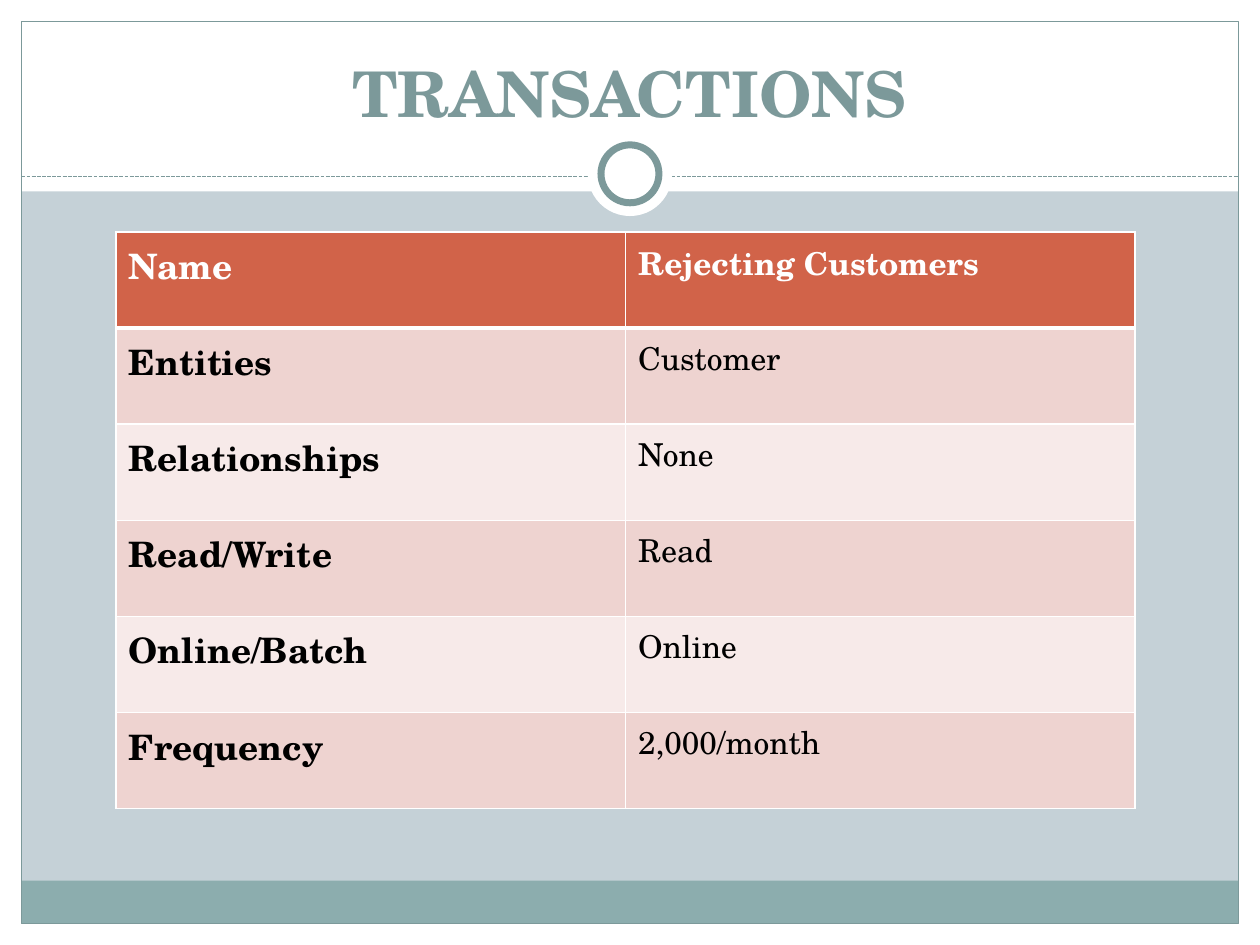
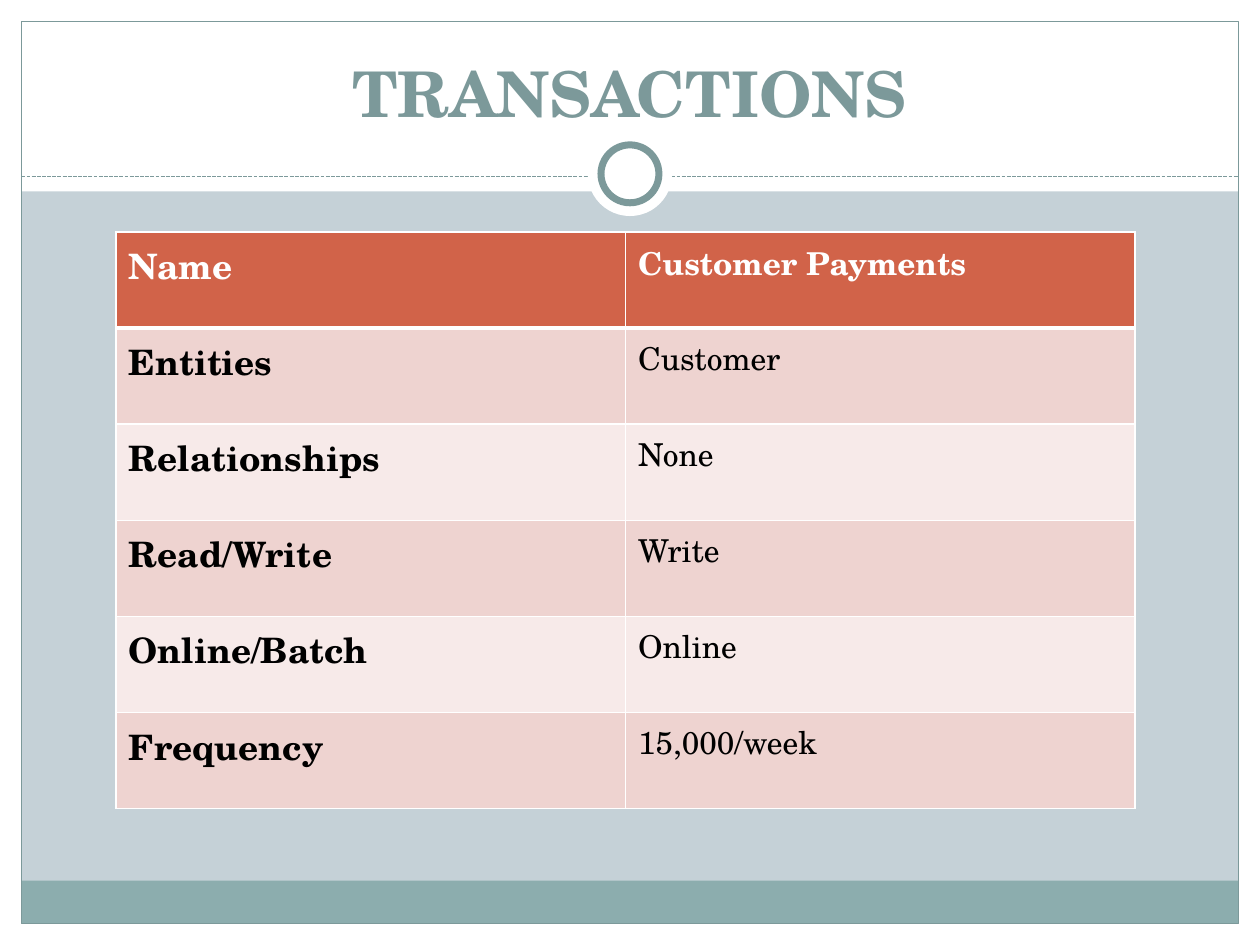
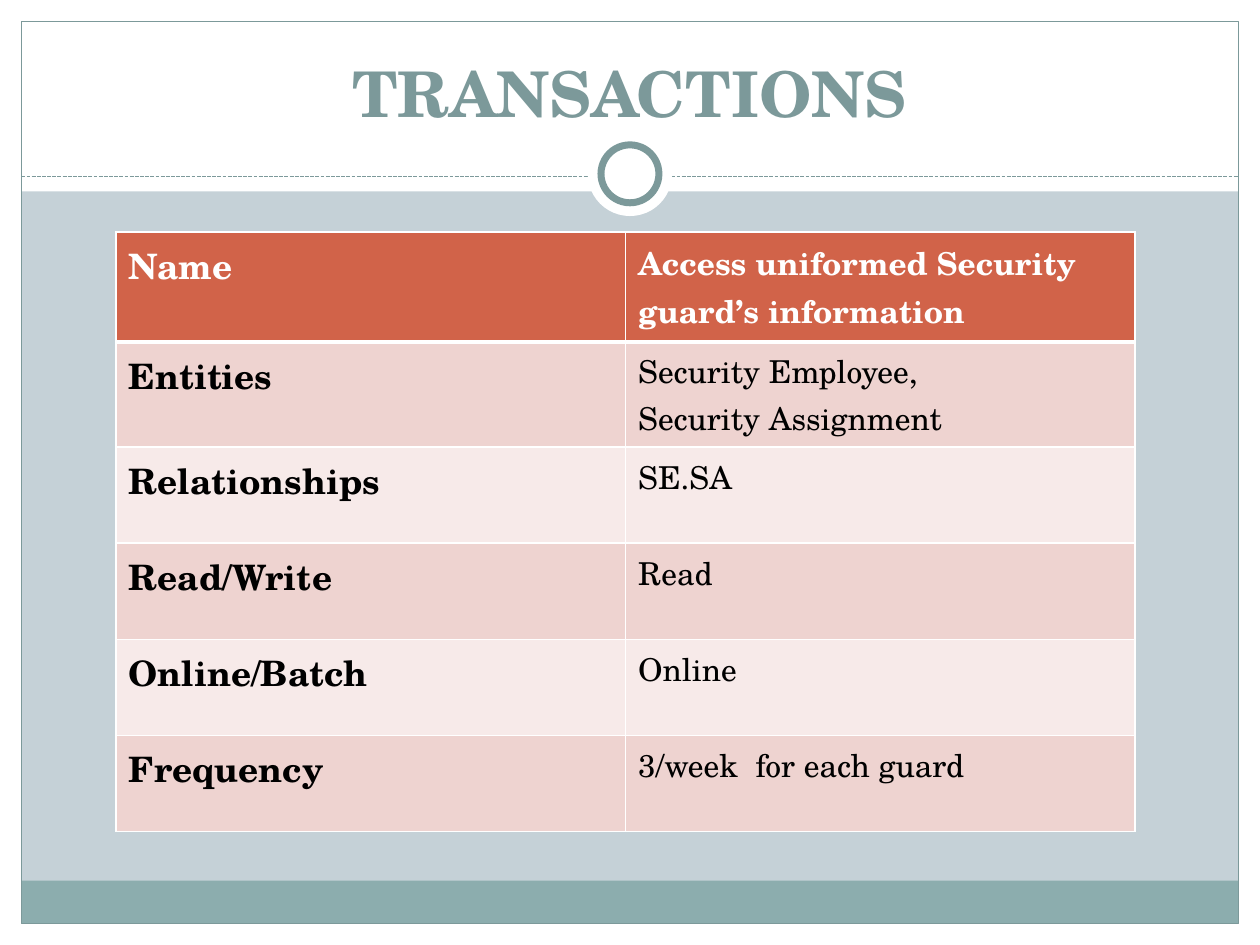
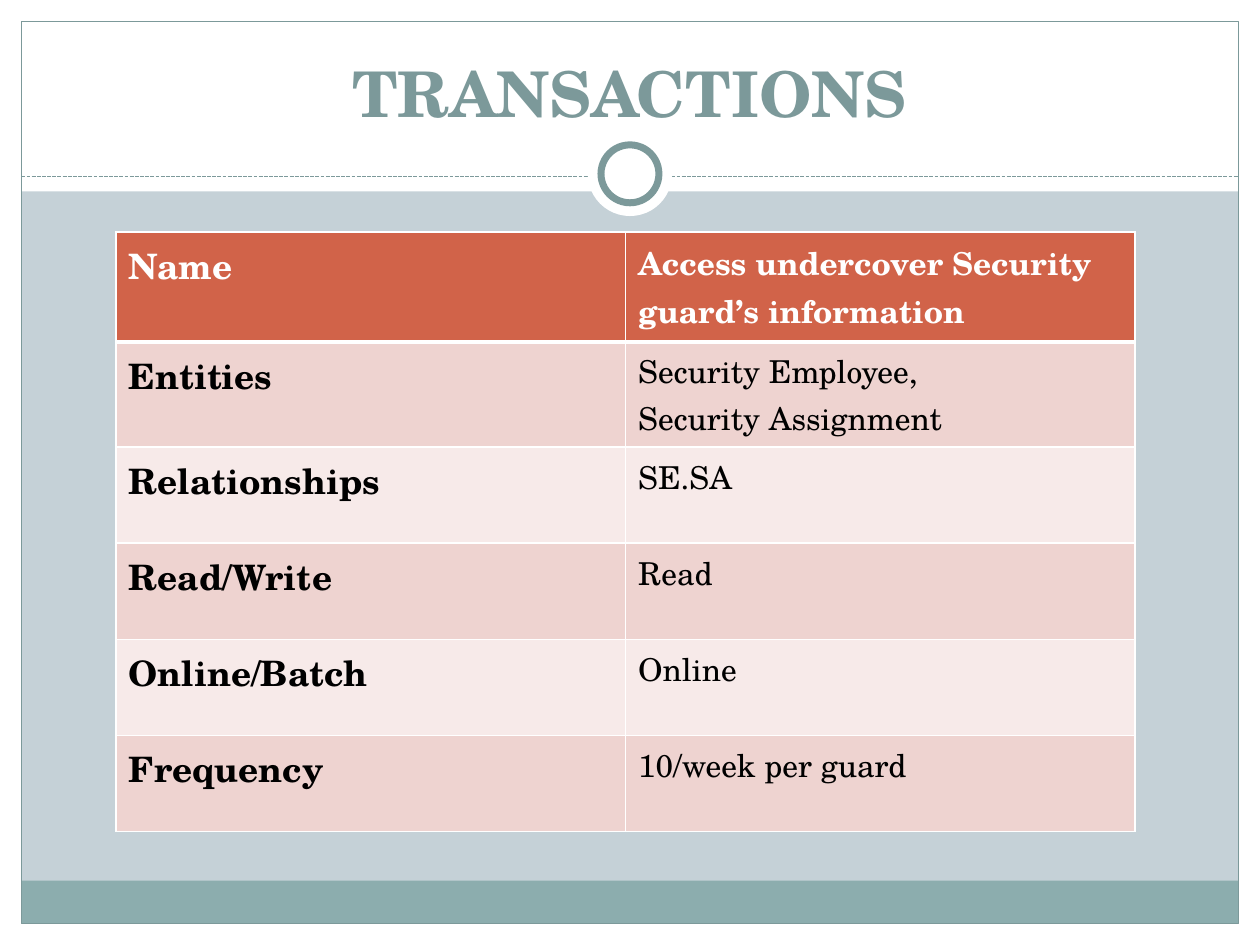
from dataclasses import dataclass

from pptx import Presentation
from pptx.dml.color import RGBColor
from pptx.enum.dml import MSO_LINE
from pptx.enum.shapes import MSO_CONNECTOR, MSO_SHAPE
from pptx.enum.text import MSO_ANCHOR, PP_ALIGN
from pptx.oxml.ns import qn
from pptx.util import Inches, Pt
from lxml.etree import SubElement


@dataclass(frozen=True)
class Theme:
    font: str = "TeX Gyre Schola"
    background: str = "C5D1D7"
    white: str = "FFFFFF"
    black: str = "000000"
    accent: str = "7C999A"
    footer: str = "8CADAE"
    header: str = "D16349"
    band_dark: str = "EED3D0"
    band_light: str = "F7EAE9"
    title_size: int = 36
    label_size: int = 20
    value_size: int = 18


THEME = Theme()
WIDTH, HEIGHT, MARGIN = 10, 7.5, 0.17
RULE_Y = 1.4
TITLE = "TRANSACTIONS"
LABELS = ["Name", "Entities", "Relationships", "Read/Write", "Online/Batch", "Frequency"]
GUARD_ENTITIES = "Security Employee,\nSecurity Assignment"

# One entry per slide, in the order of LABELS
TRANSACTIONS = [
    ["Rejecting Customers", "Customer", "None", "Read", "Online", "2,000/month"],
    ["Customer Payments", "Customer", "None", "Write", "Online", "15,000/week"],
    ["Access uniformed Security guard’s information", GUARD_ENTITIES,
     "SE.SA", "Read", "Online", "3/week  for each guard"],
    ["Access undercover Security guard’s information", GUARD_ENTITIES,
     "SE.SA", "Read", "Online", "10/week per guard"],
]


def rgb(color):
    return RGBColor.from_string(color)


def write_text(frame, text, *, size, color, bold=False, align=PP_ALIGN.LEFT,
               anchor=MSO_ANCHOR.TOP):
    """Fill a text frame, one paragraph per line of text."""
    frame.word_wrap = True
    frame.vertical_anchor = anchor
    for index, line in enumerate(text.split("\n")):
        paragraph = frame.paragraphs[0] if index == 0 else frame.add_paragraph()
        paragraph.alignment = align
        run = paragraph.add_run()
        run.text = line
        run.font.name = THEME.font
        run.font.size = Pt(size)
        run.font.bold = bold
        run.font.color.rgb = rgb(color)


def add_box(slide, left, top, width, height, *, fill=None, line=None,
            line_width=0.75, kind=MSO_SHAPE.RECTANGLE):
    box = slide.shapes.add_shape(
        kind, Inches(left), Inches(top), Inches(width), Inches(height))
    box.shadow.inherit = False
    if fill:
        box.fill.solid()
        box.fill.fore_color.rgb = rgb(fill)
    else:
        box.fill.background()
    if line:
        box.line.color.rgb = rgb(line)
        box.line.width = Pt(line_width)
    else:
        box.line.fill.background()
    return box


def add_circle(slide, center_y, diameter, **style):
    return add_box(slide, (WIDTH - diameter) / 2, center_y - diameter / 2,
                   diameter, diameter, kind=MSO_SHAPE.OVAL, **style)


def add_rule(slide, y):
    rule = slide.shapes.add_connector(
        MSO_CONNECTOR.STRAIGHT, Inches(MARGIN), Inches(y), Inches(WIDTH - MARGIN), Inches(y))
    rule.line.color.rgb = rgb(THEME.accent)
    rule.line.width = Pt(0.75)
    rule.line.dash_style = MSO_LINE.SQUARE_DOT
    SubElement(rule.element.spPr, qn("a:effectLst"))
    return rule


def build_layout(layout, slide):
    """Draw the shared frame on a slide and hand it over to the layout."""
    layout.background.fill.solid()
    layout.background.fill.fore_color.rgb = rgb(THEME.background)
    for placeholder in list(layout.placeholders)[1:]:
        layout.shapes.element.remove(placeholder.element)

    inner_width, inner_height = WIDTH - 2 * MARGIN, HEIGHT - 2 * MARGIN
    white = THEME.white
    frame = [
        # White edges and title area
        add_box(slide, 0, HEIGHT - MARGIN, WIDTH, MARGIN, fill=white),
        add_box(slide, 0, 0, WIDTH, 1.52, fill=white),
        add_box(slide, 0, 0, MARGIN, HEIGHT, fill=white),
        add_box(slide, WIDTH - MARGIN, 0, MARGIN, HEIGHT, fill=white),
        # Footer band and outline
        add_box(slide, MARGIN, 6.99, inner_width, 0.34, fill=THEME.footer),
        add_box(slide, MARGIN, MARGIN, inner_width, inner_height, line=THEME.accent),
        # Dashed rule with its ring
        add_rule(slide, RULE_Y),
        add_circle(slide, 1.38, 0.67, fill=white),
        add_circle(slide, 1.38, 0.46, fill=white, line=THEME.accent, line_width=4),
    ]
    for part in frame:
        layout.shapes.element.append(part.element)


def add_title(slide, text):
    title = slide.shapes.title
    title.left, title.top = Inches(0.33), Inches(0.25)
    title.width, title.height = Inches(9.33), Inches(0.83)
    write_text(title.text_frame, text, size=THEME.title_size, color=THEME.accent,
               bold=True, align=PP_ALIGN.CENTER, anchor=MSO_ANCHOR.BOTTOM)


def set_borders(cell, **widths):
    properties = cell._tc.get_or_add_tcPr()
    for side in "LRTB":
        border = SubElement(properties, qn(f"a:ln{side}"), w=str(Pt(widths.get(side, 1))))
        fill = SubElement(border, qn("a:solidFill"))
        SubElement(fill, qn("a:srgbClr"), val=THEME.white)


def add_transaction_table(slide, values):
    table = slide.shapes.add_table(
        len(LABELS), 2, Inches(0.92), Inches(1.84), Inches(8.09), Inches(4.58)).table
    for row, (label, value) in enumerate(zip(LABELS, values)):
        is_header = row == 0
        if is_header:
            fill, color, borders = THEME.header, THEME.white, {"B": 3}
        else:
            fill = THEME.band_dark if row % 2 else THEME.band_light
            color, borders = THEME.black, {"T": 3} if row == 1 else {}
        columns = [(label, THEME.label_size, True), (value, THEME.value_size, is_header)]
        for column, (text, size, bold) in enumerate(columns):
            cell = table.cell(row, column)
            set_borders(cell, **borders)
            cell.fill.solid()
            cell.fill.fore_color.rgb = rgb(fill)
            write_text(cell.text_frame, text, size=size, color=color, bold=bold)


def main():
    deck = Presentation()
    deck.slide_width, deck.slide_height = Inches(WIDTH), Inches(HEIGHT)
    title_only = deck.slide_layouts[5]
    for number, values in enumerate(TRANSACTIONS):
        slide = deck.slides.add_slide(title_only)
        if number == 0:
            build_layout(title_only, slide)
        add_title(slide, TITLE)
        add_transaction_table(slide, values)
    deck.save("out.pptx")


if __name__ == "__main__":
    main()
